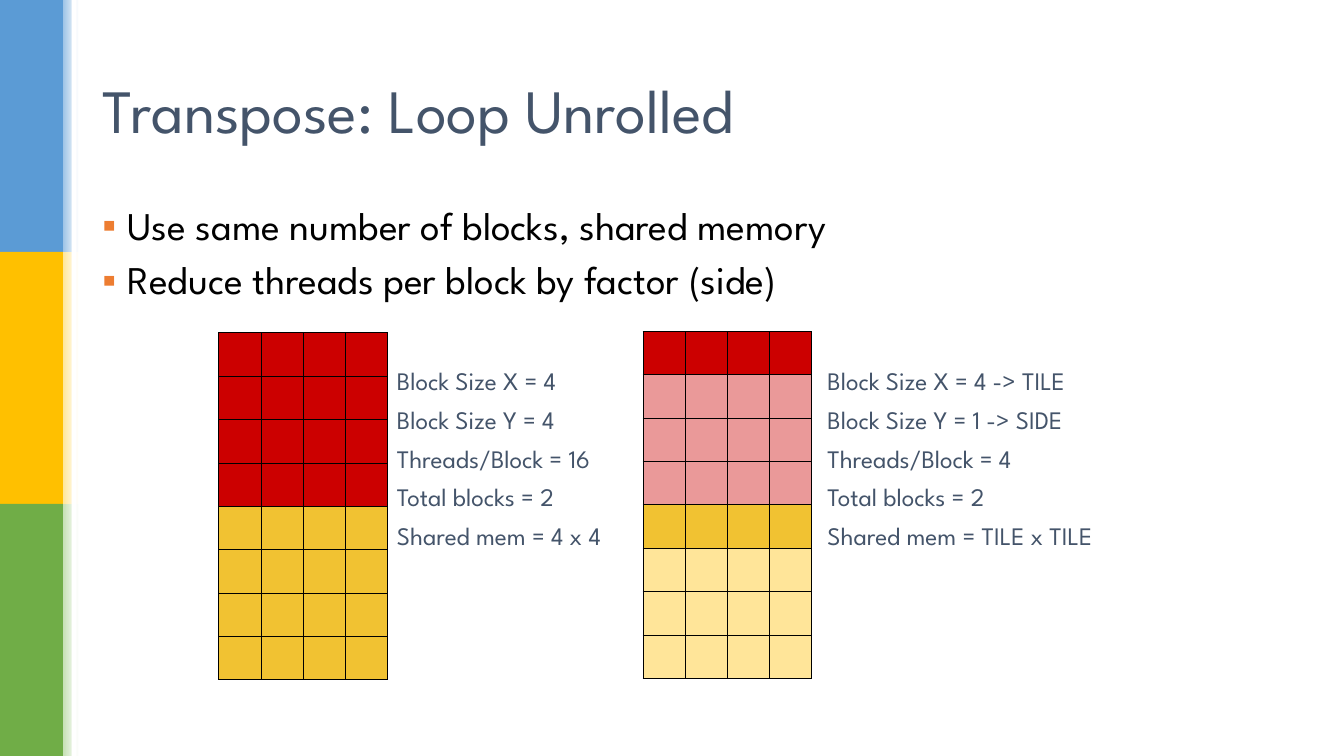
from dataclasses import dataclass

from lxml.etree import SubElement
from pptx import Presentation
from pptx.dml.color import RGBColor
from pptx.enum.shapes import MSO_SHAPE
from pptx.enum.text import MSO_ANCHOR, MSO_AUTO_SIZE, PP_ALIGN
from pptx.oxml.ns import qn
from pptx.util import Pt

FONT = "League Spartan"
COLORS = {
    "white": "FFFFFF", "black": "000000", "slate": "44546A", "bullet": "ED7D31",
    "blue": "5B9BD5", "blue tint": "9DC3E6",
    "gold": "FFC000", "gold tint": "FFE699",
    "green": "70AD47", "green tint": "C5E0B4",
    "red active": "CC0000", "red idle": "EA9999",
    "yellow active": "F1C232", "yellow idle": "FFE599",
}
BAND_HEIGHT = 180
BAND_WIDTH = 45
CELL_WIDTH = 30.15
CELL_HEIGHT = 31
TILE = 4


@dataclass
class ThreadGrid:
    """A grid of threads, with one colour per row."""
    left: float
    top: float
    row_colors: list[str]


@dataclass
class BlockNote:
    """The launch settings listed beside a grid."""
    left: float
    width: float
    height: float
    lines: list[str]


GRIDS = [
    ThreadGrid(156.3, 237.75, ["red active"] * TILE + ["yellow active"] * TILE),
    ThreadGrid(459.4, 236.75, ["red active"] + ["red idle"] * (TILE - 1)
               + ["yellow active"] + ["yellow idle"] * (TILE - 1)),
]
NOTES = [
    BlockNote(276.5, 191.5, 147.6, [
        "Block Size X = 4", "Block Size Y = 4", "Threads/Block = 16",
        "Total blocks = 2", "Shared mem = 4 x 4"]),
    BlockNote(584, 244, 170, [
        "Block Size X = 4 -> TILE", "Block Size Y = 1 -> SIDE", "Threads/Block = 4",
        "Total blocks = 2", "Shared mem = TILE x TILE"]),
]
BULLETS = ["Use same number of blocks, shared memory",
           "Reduce threads per block by factor (side)"]


def rgb(name: str) -> RGBColor:
    """Look up a named colour."""
    return RGBColor.from_string(COLORS[name])


def place(shape, left: float, top: float, width: float, height: float) -> None:
    """Move and size a shape, in points."""
    shape.left, shape.top = Pt(left), Pt(top)
    shape.width, shape.height = Pt(width), Pt(height)


def add_run(paragraph, text: str, size: float, color: str) -> None:
    """Add one formatted run."""
    run = paragraph.add_run()
    run.text = text
    run.font.name = FONT
    run.font.size = Pt(size)
    run.font.color.rgb = rgb(color)


def add_paragraphs(frame, lines: list[str], size: float, color: str, before: float) -> None:
    """Write one left-aligned paragraph per line."""
    for index, line in enumerate(lines):
        paragraph = frame.add_paragraph() if index else frame.paragraphs[0]
        paragraph.alignment = PP_ALIGN.LEFT
        paragraph.space_before = Pt(before)
        add_run(paragraph, line, size, color)


def add_bar(slide, left: float, top: float, width: float, height: float):
    """Add a rectangle without outline or shadow, ready to be filled."""
    bar = slide.shapes.add_shape(MSO_SHAPE.RECTANGLE, Pt(left), Pt(top), Pt(width), Pt(height))
    bar.shadow.inherit = False
    bar.line.fill.background()
    return bar


def add_band(slide, index: int, color: str) -> None:
    """Add a solid side band and its fading edge."""
    top = index * BAND_HEIGHT
    band = add_bar(slide, 0, top, BAND_WIDTH, BAND_HEIGHT)
    band.fill.solid()
    band.fill.fore_color.rgb = rgb(color)
    edge = add_bar(slide, BAND_WIDTH, top, 11.5, BAND_HEIGHT)
    edge.fill.gradient()
    edge.fill.gradient_angle = 0
    for stop, shade in zip(edge.fill.gradient_stops, (f"{color} tint", "white")):
        stop.color.rgb = rgb(shade)


def add_bullet(paragraph) -> None:
    """Give a paragraph a hanging coloured square bullet."""
    properties = paragraph._p.get_or_add_pPr()
    properties.set("marL", str(Pt(18)))
    properties.set("indent", str(-Pt(18)))
    color = SubElement(properties, qn("a:buClr"))
    SubElement(color, qn("a:srgbClr"), val=COLORS["bullet"])
    SubElement(properties, qn("a:buFont"), typeface="Arial")
    SubElement(properties, qn("a:buChar"), char="▪")


def add_borders(cell) -> None:
    """Draw thin black lines on all four sides of a cell."""
    properties = cell._tc.get_or_add_tcPr()
    for side in ("lnL", "lnR", "lnT", "lnB"):
        line = SubElement(properties, qn(f"a:{side}"), w=str(Pt(0.75)))
        fill = SubElement(line, qn("a:solidFill"))
        SubElement(fill, qn("a:srgbClr"), val=COLORS["black"])


def add_grid(slide, grid: ThreadGrid) -> None:
    """Draw a thread grid as a table."""
    count = len(grid.row_colors)
    table = slide.shapes.add_table(
        count, TILE, Pt(grid.left), Pt(grid.top),
        Pt(TILE * CELL_WIDTH), Pt(count * CELL_HEIGHT)).table
    table.first_row = table.horz_banding = False
    for column in table.columns:
        column.width = Pt(CELL_WIDTH)
    for row, color in zip(table.rows, grid.row_colors):
        row.height = Pt(CELL_HEIGHT)
        for cell in row.cells:
            add_borders(cell)
            cell.fill.solid()
            cell.fill.fore_color.rgb = rgb(color)


def add_note(slide, note: BlockNote) -> None:
    """Add the text beside a grid."""
    box = slide.shapes.add_textbox(Pt(note.left), Pt(254), Pt(note.width), Pt(note.height))
    frame = box.text_frame
    frame.word_wrap = True
    frame.auto_size = MSO_AUTO_SIZE.SHAPE_TO_FIT_TEXT
    frame.margin_left = frame.margin_right = Pt(7.2)
    frame.margin_top = frame.margin_bottom = Pt(7.2)
    add_paragraphs(frame, note.lines, 18, "slate", 6)


def fill_placeholders(slide) -> None:
    """Place and write the title and the bullet list."""
    title, body = slide.shapes.title, slide.placeholders[1]
    place(title, 66, 28.8, 828, 104.4)
    place(body, 66, 144, 828, 342.7)
    for shape, anchor in ((title, MSO_ANCHOR.MIDDLE), (body, MSO_ANCHOR.TOP)):
        shape.text_frame.auto_size = MSO_AUTO_SIZE.NONE
        shape.text_frame.vertical_anchor = anchor
    add_paragraphs(title.text_frame, ["Transpose: Loop Unrolled"], 44, "slate", 0)
    title.text_frame.paragraphs[0].line_spacing = 0.9
    add_paragraphs(body.text_frame, BULLETS, 28, "black", 8.4)
    for paragraph in body.text_frame.paragraphs:
        paragraph.line_spacing = 0.9
        add_bullet(paragraph)


def main() -> None:
    """Build and save the presentation."""
    presentation = Presentation()
    presentation.slide_width, presentation.slide_height = Pt(960), Pt(540)
    slide = presentation.slides.add_slide(presentation.slide_layouts[1])
    for index, color in enumerate(("blue", "gold", "green")):
        add_band(slide, index, color)
    gap = add_bar(slide, 51.1, 0, 3.6, 540)
    gap.fill.solid()
    gap.fill.fore_color.rgb = rgb("white")
    fill_placeholders(slide)
    for grid in GRIDS:
        add_grid(slide, grid)
    for note in NOTES:
        add_note(slide, note)
    presentation.save("out.pptx")


main()
